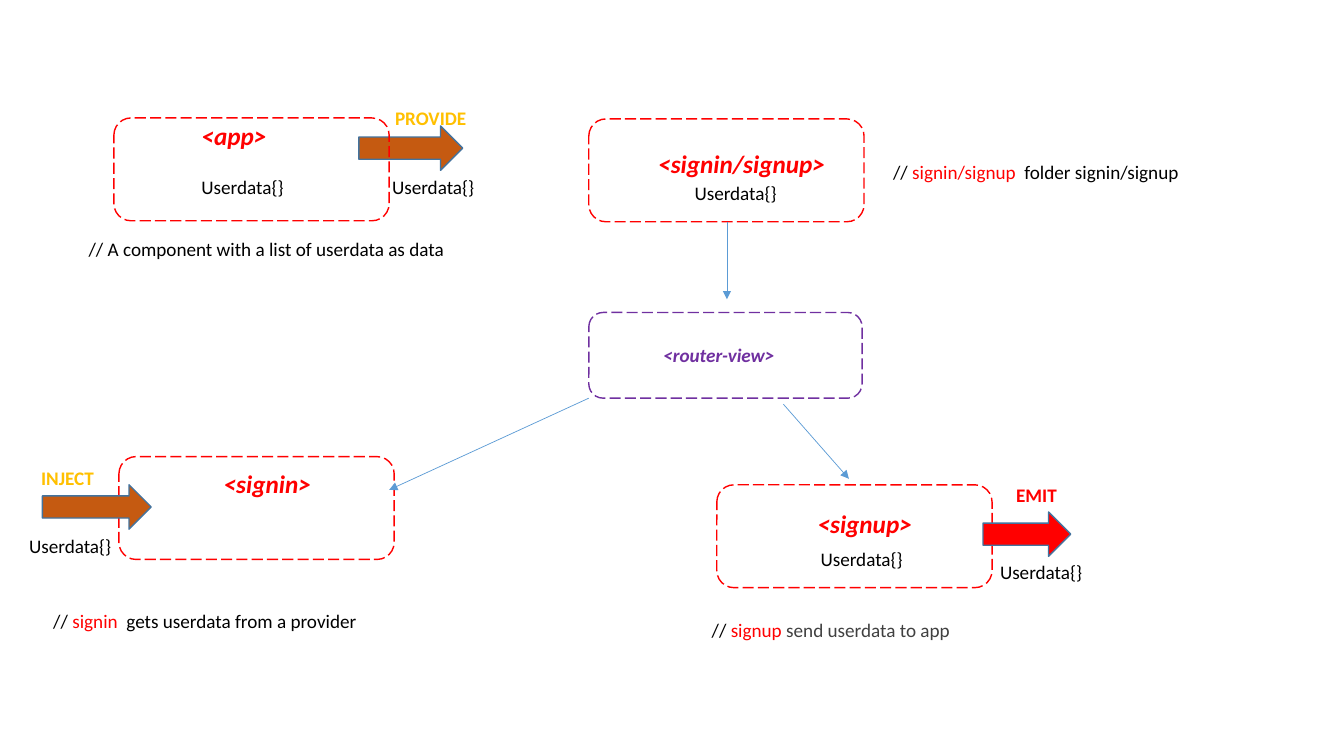
"""Build a slide showing how userdata flows between sign-in components."""
from lxml import etree
from pptx import Presentation
from pptx import util as u
from pptx.dml.color import RGBColor
from pptx.enum import dml, shapes, text
from pptx.oxml import ns

COLORS = {
    "red": "FF0000", "purple": "7030A0", "orange": "C55A11", "gold": "FFC000",
    "black": "000000", "gray": "404040", "edge": "43739E", "link": "5B9BD5",
}
BOX_WIDTH, BOX_HEIGHT = 2.73, 1.02


def rgb(color):
    return RGBColor.from_string(COLORS[color])


def write(slide, left, top, width, content, color="black", size=13.7,
          bold=False, italic=False, wrap=False):
    """Place one line, given as a string or as (string, color) runs."""
    height = 0.4 if size == 18 else 0.33
    label = slide.shapes.add_textbox(*map(u.Inches, (left, top, width, height)))
    frame = label.text_frame
    frame.word_wrap = wrap
    frame.auto_size = text.MSO_AUTO_SIZE.SHAPE_TO_FIT_TEXT
    runs = [(content, color)] if isinstance(content, str) else content
    for words, run_color in runs:
        run = frame.paragraphs[0].add_run()
        run.text = words
        font = run.font
        font.name, font.size = "Calibri", u.Pt(size)
        font.bold, font.italic = bold, italic
        font.color.rgb = rgb(run_color)


def add_outlined(slide, preset, left, top, width, height, line):
    outlined = slide.shapes.add_shape(preset, *map(u.Inches, (left, top, width, height)))
    outlined.shadow.inherit = False
    outlined.line.color.rgb = rgb(line)
    outlined.line.width = u.Pt(1)
    return outlined


def add_component(slide, left, top, width=BOX_WIDTH, height=BOX_HEIGHT, color="red"):
    component = add_outlined(slide, shapes.MSO_SHAPE.ROUNDED_RECTANGLE,
                             left, top, width, height, color)
    component.fill.background()
    component.line.dash_style = dml.MSO_LINE.LONG_DASH


def add_flow(slide, left, top, width, color="orange"):
    flow = add_outlined(slide, shapes.MSO_SHAPE.RIGHT_ARROW,
                        left, top, width, 0.44, "edge")
    flow.fill.solid()
    flow.fill.fore_color.rgb = rgb(color)


def add_route(slide, start, end):
    route = slide.shapes.add_connector(shapes.MSO_CONNECTOR.STRAIGHT,
                                       *map(u.Inches, start + end))
    route.line.color.rgb = rgb("link")
    route.line.width = u.Pt(0.5)
    etree.SubElement(route.line._get_or_add_ln(), ns.qn("a:tailEnd"), type="triangle")
    etree.SubElement(route._element.spPr, ns.qn("a:effectLst"))


def main():
    deck = Presentation()
    deck.slide_width, deck.slide_height = u.Inches(13.33), u.Inches(7.5)
    slide = deck.slides.add_slide(deck.slide_layouts[6])

    for left, top in [(5.84, 1.18), (1.18, 4.53), (7.11, 4.81)]:
        add_component(slide, left, top)
    add_component(slide, 5.84, 3.1, 2.71, 0.85, "purple")

    add_flow(slide, 3.56, 1.25, 1.03)
    add_flow(slide, 0.42, 4.81, 1.08)
    add_flow(slide, 9.75, 5.08, 0.87, "red")
    add_component(slide, 1.13, 1.17)

    for start, end in [((5.84, 3.95), (3.86, 4.86)),
                       ((7.77, 4.01), (8.42, 4.75)),
                       ((7.21, 2.2), (7.21, 2.97))]:
        add_route(slide, start, end)

    for left, top, width, tag in [(1.9, 1.14, 0.85, "<app>"),
                                  (6.43, 1.42, 1.88, "<signin/signup>"),
                                  (2.12, 4.6, 1.08, "<signin>"),
                                  (8.01, 4.99, 1.15, "<signup>")]:
        write(slide, left, top, width, tag, color="red", size=18, bold=True, italic=True)
    write(slide, 6.48, 3.36, 1.33, "<router-view>", color="purple", bold=True, italic=True)

    for left, top, width, action, color in [(3.82, 1.01, 0.92, "PROVIDE", "gold"),
                                            (0.31, 4.58, 0.73, "INJECT", "gold"),
                                            (9.98, 4.75, 0.61, "EMIT", "red")]:
        write(slide, left, top, width, action, color=color, bold=True)

    for left, top in [(1.9, 1.69), (3.79, 1.69), (6.79, 1.75), (8.04, 5.38)]:
        write(slide, left, top, 1.03, "Userdata{}")
    for left, top, width in [(0.19, 5.25, 1.03), (9.82, 5.51, 1.23)]:
        write(slide, left, top, width, "Userdata{}", wrap=True)

    write(slide, 0.78, 2.31, 3.78, "// A component with a list of userdata as data")
    for left, top, width, tag, remark, color in [
            (0.43, 6, 3.26, "signin ", " gets userdata from a provider", "black"),
            (6.96, 6.09, 2.59, "signup ", "send userdata to app", "gray"),
            (8.76, 1.54, 3.07, "signin/signup ", " folder signin/signup", "black")]:
        write(slide, left, top, width, [("// ", "black"), (tag, "red"), (remark, color)])

    deck.save("out.pptx")


main()
